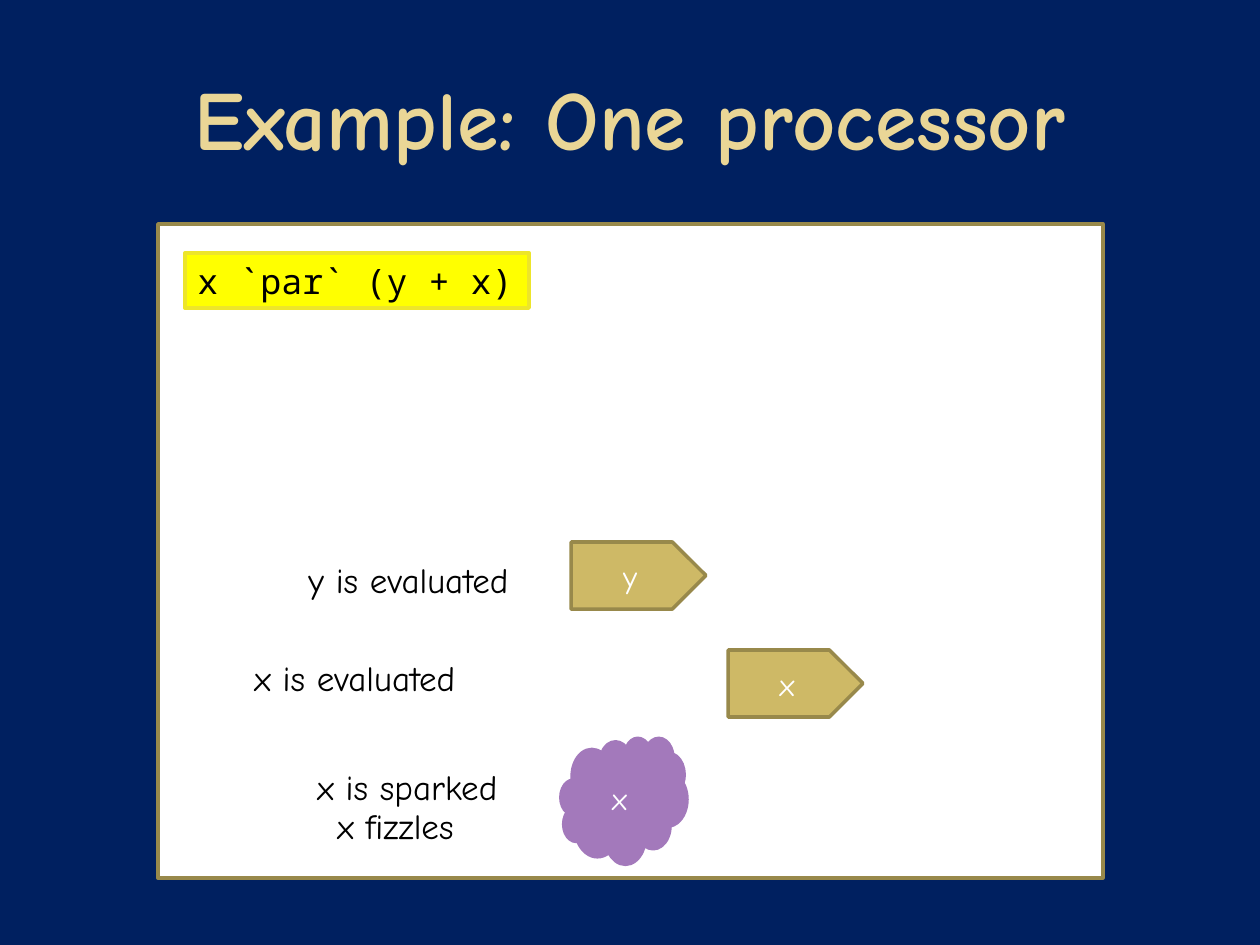
from pptx import Presentation
from pptx.dml.color import RGBColor
from pptx.enum.shapes import MSO_SHAPE
from pptx.enum.text import MSO_ANCHOR, PP_ALIGN
from pptx.util import Emu, Pt

RECT, CLOUD, PLATE = MSO_SHAPE.RECTANGLE, MSO_SHAPE.CLOUD, MSO_SHAPE.PENTAGON
MIDDLE, CENTER, LEFT = MSO_ANCHOR.MIDDLE, PP_ALIGN.CENTER, PP_ALIGN.LEFT

NAVY = RGBColor(0x00, 0x20, 0x60)
WHITE = RGBColor(0xFF, 0xFF, 0xFF)
BLACK = RGBColor(0x00, 0x00, 0x00)
CREAM = RGBColor(0xEA, 0xD6, 0x96)
GOLD = RGBColor(0xCE, 0xB9, 0x66)
BRONZE = RGBColor(0x98, 0x89, 0x4B)
PURPLE = RGBColor(0xA3, 0x79, 0xBB)
YELLOW = RGBColor(0xFF, 0xFF, 0x00)
LEMON = RGBColor(0xED, 0xE5, 0x2A)
HAND, MONO = "Comic Neue", "Noto Sans Mono"

# Content: boxes are left, top, width, height in px
TITLE = "Example: One processor"
TITLE_BOX = (63, 38, 1134, 158)
PANEL = (158, 224, 945, 654)
CODE = "x `par` (y + x)"
CODE_BOX = (185, 253, 344, 55)
SPARK = ("x", (561, 738, 126, 126))
STEPS = [("y", 571, 542), ("x", 728, 650)]
STEP_W, STEP_H = 135, 67
NOTES = [
    ("y is evaluated", 296, 552, 243),
    ("x is evaluated", 242, 650, 244),
    ("x is sparked", 305, 759, 219),
    ("x fizzles", 325, 798, 160),
]
NOTE_H = 55


def px(n):
    return Emu(round(n * 914400 / 126))


def write(shape, text, size, color, face=HAND, align=CENTER):
    shape.text_frame.text = text
    para = shape.text_frame.paragraphs[0]
    para.alignment = align
    font = para.font
    font.name, font.size = face, Pt(size)
    font.color.rgb = color


def draw(kind, box, fill, line, width=2):
    shape = slide.shapes.add_shape(kind, *map(px, box))
    shape.shadow.inherit = False
    shape.fill.solid()
    shape.fill.fore_color.rgb = fill
    shape.line.color.rgb = line
    shape.line.width = Pt(width)
    shape.text_frame.vertical_anchor = MIDDLE
    return shape


deck = Presentation()
deck.slide_width, deck.slide_height = px(1260), px(945)
slide = deck.slides.add_slide(deck.slide_layouts[5])
slide.background.fill.solid()
slide.background.fill.fore_color.rgb = NAVY

# Title
title = slide.shapes.title
title.left, title.top, title.width, title.height = map(px, TITLE_BOX)
title.text_frame.vertical_anchor = MIDDLE
write(title, TITLE, 48, CREAM)
title.text_frame.paragraphs[0].font.bold = True

# Panel, spark and evaluation steps
draw(RECT, PANEL, WHITE, BRONZE)
name, box = SPARK
write(draw(CLOUD, box, PURPLE, PURPLE), name, 18, WHITE)
for name, left, top in STEPS:
    step = draw(PLATE, (left, top, STEP_W, STEP_H), GOLD, BRONZE)
    write(step, name, 18, WHITE)

# Notes beside the steps
for text, left, top, width in NOTES:
    note = slide.shapes.add_textbox(*map(px, (left, top, width, NOTE_H)))
    note.text_frame.word_wrap = False
    write(note, text, 20, BLACK, align=LEFT)

# Code
code = draw(RECT, CODE_BOX, YELLOW, LEMON, 2.25)
code.text_frame.word_wrap = False
write(code, CODE, 20, BLACK, MONO, LEFT)

deck.save("out.pptx")
